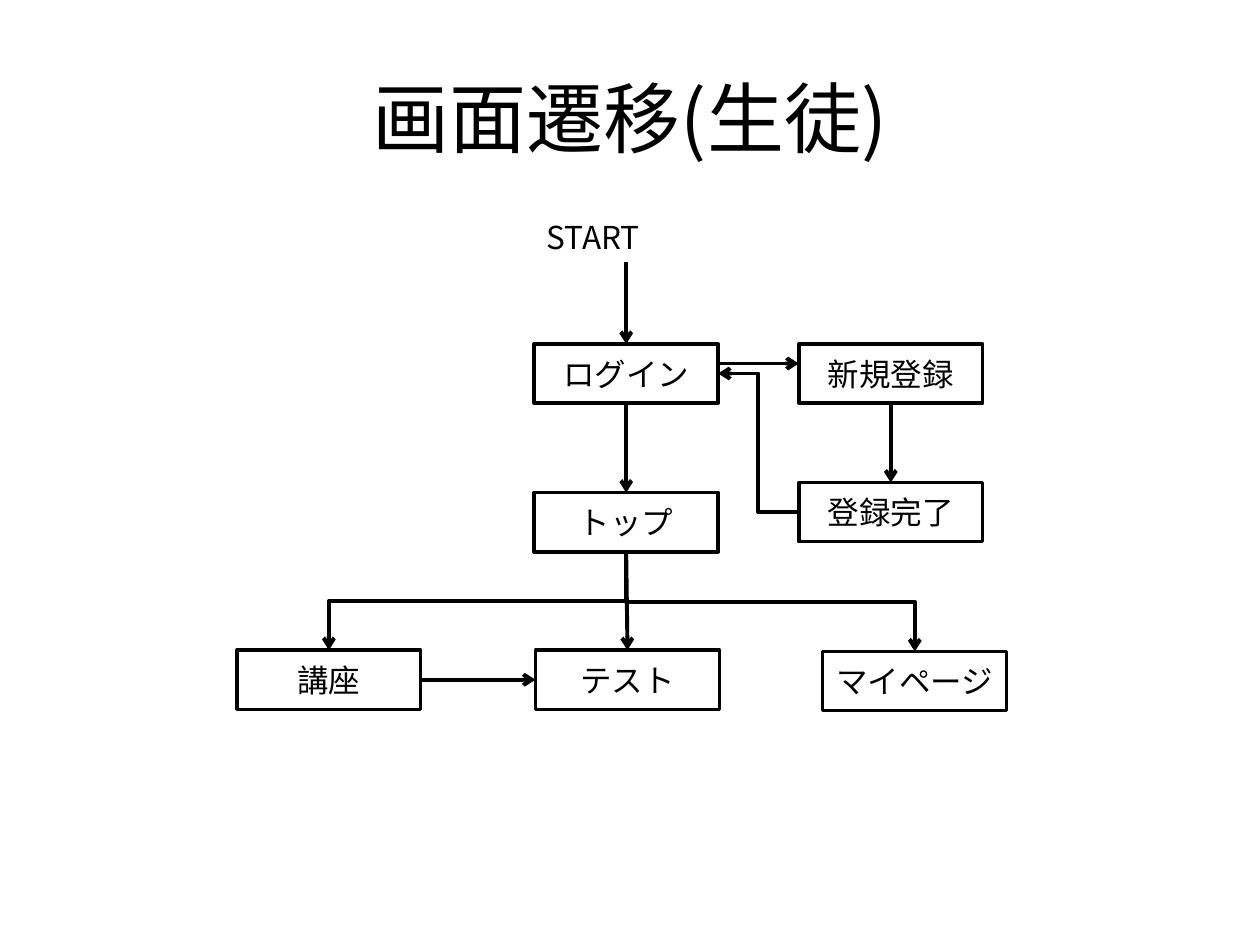
from pptx import Presentation
from pptx.dml.color import RGBColor
from pptx.enum.shapes import MSO_CONNECTOR as Link, MSO_SHAPE as Shape
from pptx.enum.text import MSO_ANCHOR as Anchor, PP_ALIGN as Align
from pptx.oxml.ns import qn
from pptx.util import Inches, Pt
from lxml.etree import SubElement

COLORS = {"ink": "000000", "paper": "FFFFFF"}
FONT = "Noto Sans CJK JP"
BOX_W, BOX_H = 1.46, 0.47
SCREENS = {
    "login": ("ログイン", 4.24, 2.73),
    "top": ("トップ", 4.24, 3.91),
    "signup": ("新規登録", 6.34, 2.73),
    "done": ("登録完了", 6.34, 3.83),
    "course": ("講座", 1.88, 5.16),
    "test": ("テスト", 4.25, 5.16),
    "mypage": ("マイページ", 6.53, 5.17),
}


def color(key):
    return RGBColor.from_string(COLORS[key])


def write(holder, words, size, anchor, align, wrap=True):
    frame = holder.text_frame
    for name, value in {"word_wrap": wrap, "vertical_anchor": anchor}.items():
        setattr(frame, name, value)
    paragraph = frame.paragraphs[0]
    paragraph.alignment = align
    run = paragraph.add_run()
    run.text = words
    for name, value in {"size": Pt(size), "name": FONT}.items():
        setattr(run.font, name, value)
    run.font.color.rgb = color("ink")
    SubElement(run._r.get_or_add_rPr(), qn("a:ea")).set("typeface", FONT)


def add_label(slide, box, words, size, anchor, align, wrap):
    label = slide.shapes.add_textbox(*map(Inches, box))
    write(label, words, size, anchor, align, wrap)


def add_screen(slide, box, words):
    screen = slide.shapes.add_shape(Shape.RECTANGLE, *map(Inches, box))
    screen.shadow.inherit = False
    screen.fill.solid()
    screen.fill.fore_color.rgb = color("paper")
    screen.line.color.rgb = color("ink")
    screen.line.width = Pt(2)
    write(screen, words, 18, Anchor.MIDDLE, Align.CENTER)


def add_arrow(slide, start, end, kind=Link.STRAIGHT):
    arrow = slide.shapes.add_connector(kind, *map(Inches, (*start, *end)))
    arrow.line.color.rgb = color("ink")
    arrow.line.width = Pt(2.25)
    SubElement(arrow.line._get_or_add_ln(), qn("a:tailEnd")).set("type", "arrow")
    SubElement(arrow._element.spPr, qn("a:effectLst"))
    return arrow


def add_branch(slide, start, end):
    mid_x, mid_y = (start[0] + end[0]) / 2, (start[1] + end[1]) / 2
    half_dx, half_dy = (end[0] - start[0]) / 2, (end[1] - start[1]) / 2
    branch = add_arrow(slide, (mid_x - half_dy, mid_y + half_dx),
                       (mid_x + half_dy, mid_y - half_dx), Link.ELBOW)
    branch._element.spPr.find(qn("a:xfrm")).set("rot", str(90 * 60000))


def edge(key, across, down):
    _, left, top = SCREENS[key]
    return left + BOX_W * across, top + BOX_H * down


def add_flow(slide):
    for words, left, top in SCREENS.values():
        add_screen(slide, (left, top, BOX_W, BOX_H), words)

    entry_x, entry_y = edge("login", 0.5, 0)
    add_arrow(slide, (entry_x, 2.08), (entry_x, entry_y))
    for upper, lower in (("login", "top"), ("signup", "done")):
        add_arrow(slide, edge(upper, 0.5, 1), edge(lower, 0.5, 0))
    for source, target, down in (("login", "signup", 0.33), ("course", "test", 0.5)):
        add_arrow(slide, edge(source, 1, down), edge(target, 0, down))
    add_arrow(slide, edge("done", 0, 0.5), edge("login", 1, 0.5), Link.ELBOW)

    fork = edge("top", 0.5, 1)
    add_arrow(slide, fork, edge("test", 0.5, 0))
    for target in ("course", "mypage"):
        add_branch(slide, fork, edge(target, 0.5, 0))


deck = Presentation()
deck.slide_width, deck.slide_height = Inches(10), Inches(7.5)
slide = deck.slides.add_slide(deck.slide_layouts[6])
add_label(slide, (0.5, 0.3, 9, 1.25), "画面遷移(生徒)", 44,
          Anchor.MIDDLE, Align.CENTER, True)
add_label(slide, (4.24, 1.68, 1.46, 0.4), "START", 18,
          Anchor.TOP, Align.LEFT, False)
add_flow(slide)
deck.save("out.pptx")
